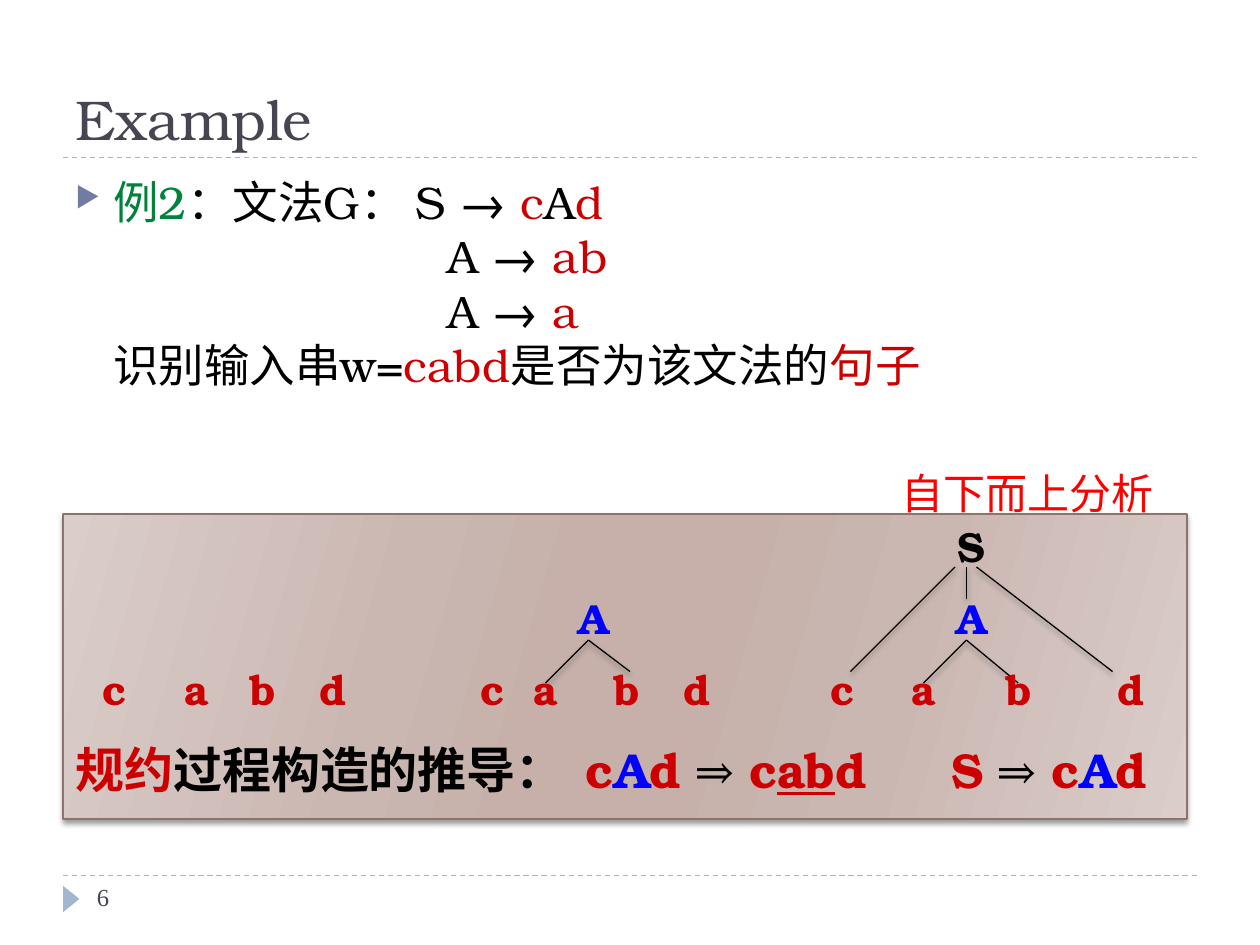
from dataclasses import dataclass
from typing import NamedTuple

from lxml import etree
from pptx import Presentation
from pptx.dml.color import RGBColor
from pptx.enum import dml, shapes, text
from pptx.oxml import ns
from pptx.util import Inches, Pt


@dataclass(frozen=True)
class Theme:
    font: str = "TeX Gyre Bonum"
    digit: str = "Times New Roman"
    black: str = "000000"
    slate: str = "464653"
    green: str = "00823B"
    red: str = "CC0000"
    label: str = "FF0000"
    blue: str = "0000FF"
    rule: str = "9FB8CD"
    bullet: str = "727CA3"
    edge: str = "8E736A"
    title: float = 32
    body: float = 26
    node: float = 24
    proof: float = 28
    page: float = 14


class Run(NamedTuple):
    text: str
    color: str
    under: bool = False


class Row(NamedTuple):
    left: float
    runs: list[Run]


class Level(NamedTuple):
    top: float
    color: str
    marks: str
    mids: tuple[float, ...]


class Edge(NamedTuple):
    x: float
    y: float
    tox: float
    toy: float


T = Theme()
STOPS = [(0, "DACDCA"), (30, "CBB7B2"), (45, "C6B0A9"),
         (55, "C6B0A9"), (73, "CBB7B2"), (100, "DACDCA")]
LEVELS = [
    Level(4.08, T.black, "S", (7.71,)),
    Level(4.65, T.blue, "AA", (4.71, 7.71)),
    Level(5.22, T.red, "cabd" * 3, (0.91, 1.56, 2.09, 2.64, 3.91, 4.33,
                                    4.98, 5.53, 6.69, 7.33, 8.09, 8.98)),
]
EDGES = [Edge(7.67, 4.5, 7.67, 4.75), Edge(7.58, 4.5, 6.75, 5.33),
         Edge(7.75, 4.5, 8.83, 5.33), Edge(7.67, 5.08, 7.33, 5.42),
         Edge(7.67, 5.08, 8.08, 5.42), Edge(4.67, 5.08, 4.33, 5.42),
         Edge(4.67, 5.08, 5, 5.33)]
STEP = [Run("c", T.red), Run("A", T.blue)]
ARROW = Run(" ⇒ ", T.black)
PROOF = [
    Row(0.5, [Run("规约", T.red), Run("过程构造的推导：", T.black)]),
    Row(4.55, [*STEP, Run("d", T.red), ARROW, Run("c", T.red),
               Run("ab", T.red, True), Run("d", T.red)]),
    Row(7.45, [Run("S", T.red), ARROW, *STEP, Run("d", T.red)]),
]


def node(parent, tag: str, **attrs):
    return etree.SubElement(parent, ns.qn("a:" + tag),
                            {key: str(val) for key, val in attrs.items()})


def shade(shape) -> None:
    """Soft shadow straight below the shape."""
    drop = node(node(shape._element.spPr, "effectLst"), "outerShdw",
                blurRad=Pt(3), dist=Pt(2), dir=90 * 60000, rotWithShape=0)
    node(node(drop, "srgbClr", val=T.black), "alpha", val=40000)


def write(para, runs: list[Run], size: float, font: str = T.font, bold: bool = False) -> None:
    for item in runs:
        run = para.add_run()
        run.text = item.text
        run.font.size, run.font.name, run.font.bold = Pt(size), font, bold
        run.font.color.rgb = RGBColor.from_string(item.color)
        if item.under:
            run.font.underline = True


def box(owner, x: float, y: float, w: float, h: float, anchor=text.MSO_ANCHOR.TOP):
    frame = owner.shapes.add_textbox(Inches(x), Inches(y), Inches(w), Inches(h)).text_frame
    frame.word_wrap = True
    frame.vertical_anchor = anchor
    return frame


def line(owner, edge: Edge, color: str):
    link = owner.shapes.add_connector(shapes.MSO_CONNECTOR.STRAIGHT,
                                      *(Inches(val) for val in edge))
    link.line.color.rgb = RGBColor.from_string(color)
    link.line.width = Pt(0.75)
    return link


def frame_slide(slide) -> None:
    # Dashed rules and page marker
    for y in (6.95, 1.25):
        rule = line(slide, Edge(0.5, y, 9.5, y), T.rule)
        rule.line.dash_style = dml.MSO_LINE.DASH
        node(rule._element.spPr, "effectLst")
    mark = slide.shapes.add_shape(shapes.MSO_SHAPE.ISOSCELES_TRIANGLE,
                                  Inches(0.46), Inches(7.07), Inches(0.21), Inches(0.13))
    mark.rotation = 90
    mark.shadow.inherit = False
    mark.fill.solid()
    mark.fill.fore_color.rgb = RGBColor.from_string(T.rule)
    mark.line.fill.background()
    # Title and page number
    head = box(slide, 0.5, 0.17, 9, 1.08, text.MSO_ANCHOR.BOTTOM)
    write(head.paragraphs[0], [Run("Example", T.slate)], T.title)
    page = box(slide, 0.67, 6.95, 2.17, 0.4)
    write(page.paragraphs[0], [Run("6", T.slate)], T.page, T.digit)


def grammar(slide) -> None:
    frame = box(slide, 0.5, 1.33, 9, 5.4)
    rows = [
        Row(0.3, [Run("例2", T.green), Run("：文法G： S → ", T.black),
                  Run("c", T.red), Run("A", T.black), Run("d", T.red)]),
        *(Row(2.95, [Run("A → ", T.black), Run(end, T.red)]) for end in ("ab", "a")),
        Row(0.3, [Run("识别输入串w=", T.black), Run("cabd", T.red),
                  Run("是否为该文法的", T.black), Run("句子", T.red)]),
    ]
    for i, row in enumerate(rows):
        para = frame.add_paragraph() if i else frame.paragraphs[0]
        props = para._p.get_or_add_pPr()
        props.set("marL", str(Inches(row.left)))
        props.set("indent", str(Inches(0 if i else -0.3)))
        if i == 0:
            node(node(props, "buClr"), "srgbClr", val=T.bullet)
            node(props, "buSzPct", val=62000)
            node(props, "buChar", char="▶")
        write(para, row.runs, T.body)


def panel(group) -> None:
    rect = group.shapes.add_shape(shapes.MSO_SHAPE.RECTANGLE,
                                  Inches(0.5), Inches(4.08), Inches(8.92), Inches(2.42))
    rect.fill.gradient()
    rect.fill.gradient_angle = 0
    face = rect._element.spPr.find(ns.qn("a:gradFill"))
    face.find(ns.qn("a:lin")).set("ang", str(16 * 60000))
    stops = face.find(ns.qn("a:gsLst"))
    for old in list(stops):
        stops.remove(old)
    for pos, color in STOPS:
        node(node(stops, "gs", pos=pos * 1000), "srgbClr", val=color)
    rect.line.color.rgb = RGBColor.from_string(T.edge)
    rect.line.width = Pt(0.75)
    shade(rect)


def tree(group) -> None:
    for edge in EDGES:
        shade(line(group, edge, T.black))
    # Each symbol is centred on its own place in the level
    for level in LEVELS:
        for mark, mid in zip(level.marks, level.mids):
            para = box(group, mid - 0.3, level.top, 0.6, 0.5).paragraphs[0]
            para.alignment = text.PP_ALIGN.CENTER
            write(para, [Run(mark, level.color)], T.node, bold=True)


def proof(group) -> None:
    for row in PROOF:
        frame = box(group, row.left, 5.82, 4, 0.57)
        frame.word_wrap = False
        write(frame.paragraphs[0], row.runs, T.proof, bold=True)


def main() -> None:
    deck = Presentation()
    deck.slide_width, deck.slide_height = Inches(10), Inches(7.5)
    slide = deck.slides.add_slide(deck.slide_layouts[6])
    frame_slide(slide)
    grammar(slide)
    # Bottom-up parse: panel, parse trees, derivation
    group = slide.shapes.add_group_shape()
    panel(group)
    tree(group)
    proof(group)
    label = box(slide, 6.89, 3.66, 2.53, 0.5).paragraphs[0]
    label.alignment = text.PP_ALIGN.CENTER
    write(label, [Run("自下而上分析", T.label)], T.node)
    deck.save("out.pptx")


if __name__ == "__main__":
    main()
